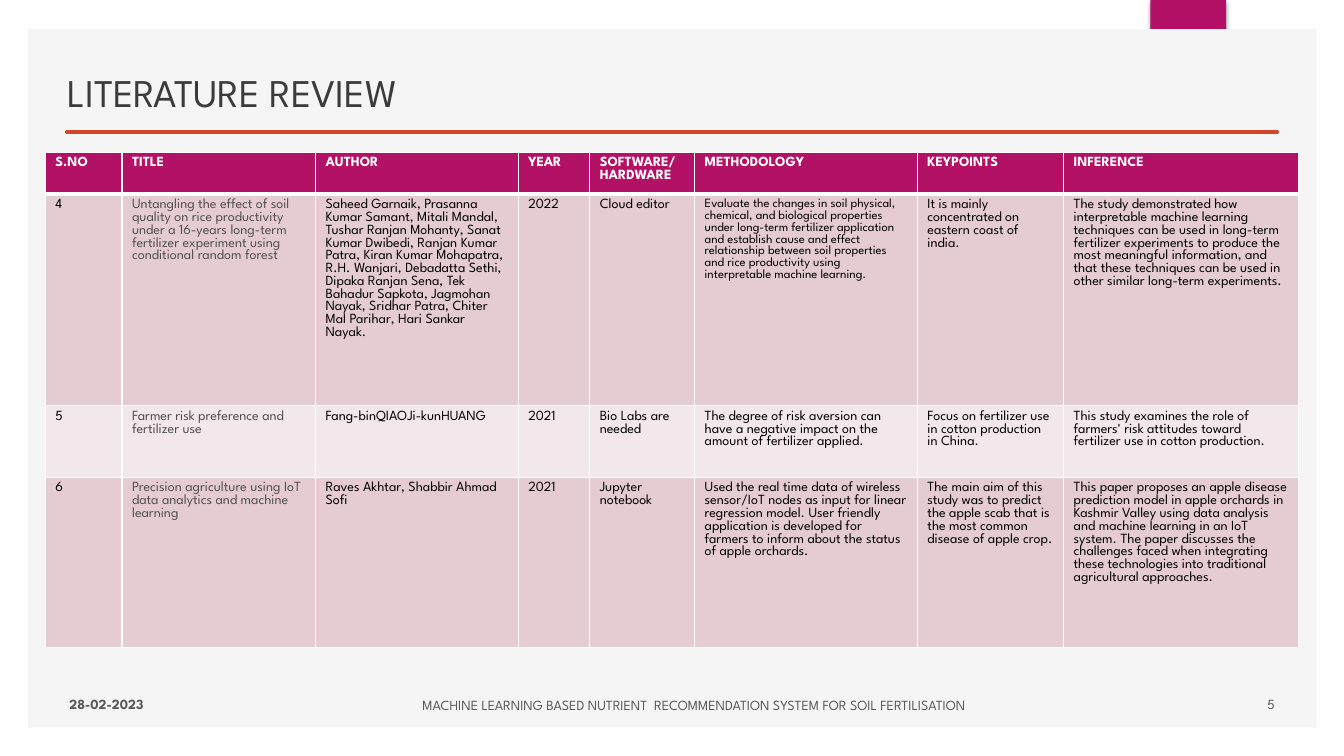
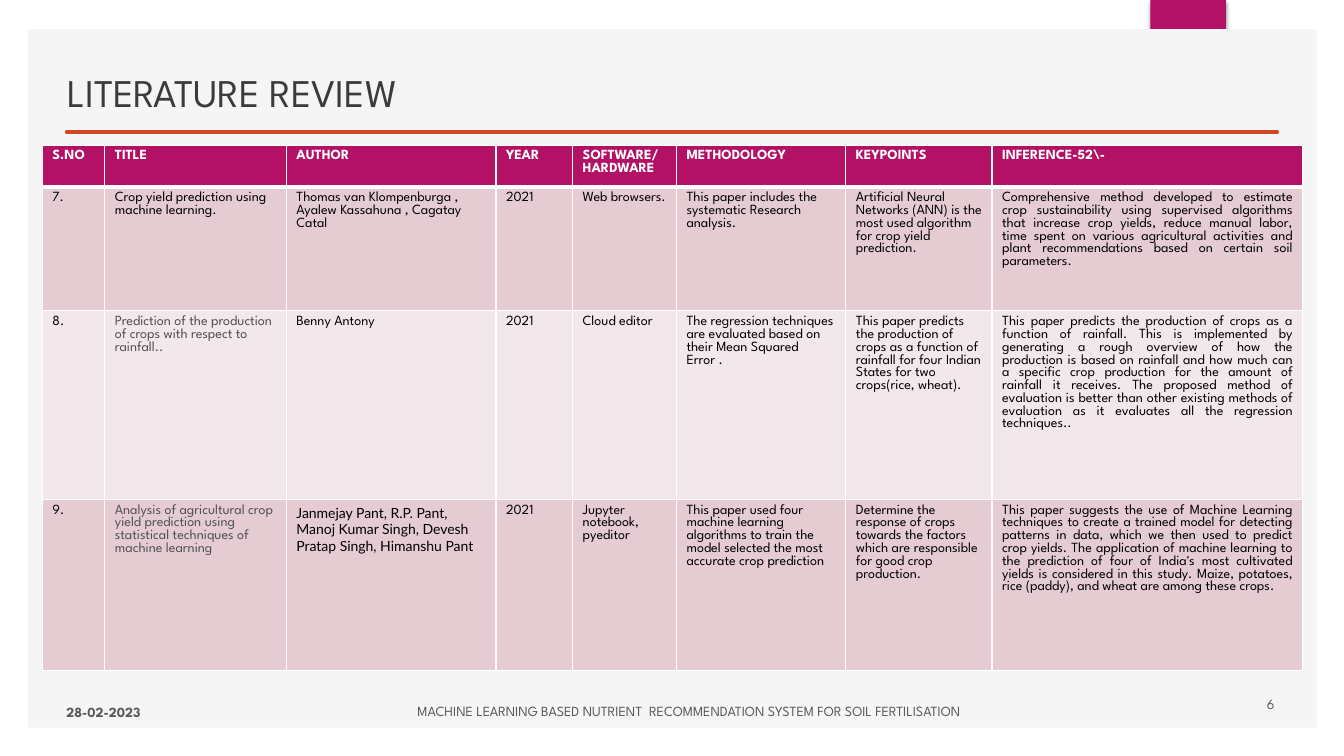
from lxml import etree
from pptx import Presentation
from pptx import util as u
from pptx.dml.color import RGBColor
from pptx.enum import shapes, text
from pptx.oxml import ns, parse_xml

COLORS = {
    "panel": "F5F5F5",
    "accent": "B31166",
    "rule": "D24726",
    "title": "3B3B3B",
    "footer": "595959",
    "paper": "505050",
    "body": "000000",
    "white": "FFFFFF",
    "dark_row": "E5CCD3",
    "light_row": "F2E7EA",
}
FONT = "League Spartan"
DATE = "28-02-2023"
PROJECT = "MACHINE LEARNING BASED NUTRIENT  RECOMMENDATION SYSTEM FOR SOIL FERTILISATION"
HEADINGS = ["S.NO", "TITLE", "AUTHOR", "YEAR", "SOFTWARE/HARDWARE", "METHODOLOGY", "KEYPOINTS"]

REVIEWS = [
    {
        "number": "5",
        "date_at": (0.59, 6.78, 3.58, 0.4),
        "project_at": (3.67, 6.79, 6.42, 0.4),
        "table_at": (0.45, 1.51),
        "columns": [0.76, 1.92, 2.01, 0.71, 1.04, 2.21, 1.45, 2.33],
        "heights": [0.38, 2.1, 0.71, 1.69],
        "last_heading": "INFERENCE",
        "formats": {(1, 5): {"size": 9}},
        "inference_align": text.PP_ALIGN.LEFT,
        "papers": [
            ["4",
             "Untangling the effect of soil quality on rice productivity under a 16-years long-term "
             "fertilizer experiment using conditional random forest",
             "Saheed Garnaik, Prasanna Kumar Samant, Mitali Mandal, Tushar Ranjan Mohanty, "
             "Sanat Kumar Dwibedi, Ranjan Kumar Patra, Kiran Kumar Mohapatra, R.H. Wanjari, "
             "Debadatta Sethi, Dipaka Ranjan Sena, Tek Bahadur Sapkota, Jagmohan Nayak, "
             "Sridhar Patra, Chiter Mal Parihar, Hari Sankar Nayak.",
             "2022",
             "Cloud editor",
             "Evaluate the changes in soil physical, chemical, and biological properties under "
             "long-term fertilizer application and establish cause and effect relationship between "
             "soil properties and rice productivity using interpretable machine learning.",
             "It is mainly concentrated on eastern coast of india.",
             "The study demonstrated how interpretable machine learning techniques can be used in "
             "long-term fertilizer experiments to produce the most meaningful information, and that "
             "these techniques can be used in other similar long-term experiments."],
            ["5",
             "Farmer risk preference and fertilizer use",
             "Fang-binQIAOJi-kunHUANG",
             "2021",
             "Bio Labs are needed",
             "The degree of risk aversion can have a negative impact on the amount of fertilizer applied.",
             "Focus on fertilizer use in cotton production in China.",
             "This study examines the role of farmers' risk attitudes toward fertilizer use in "
             "cotton production."],
            ["6",
             "Precision agriculture using IoT data analytics and machine learning",
             "Raves Akhtar, Shabbir Ahmad Sofi",
             "2021",
             "Jupyter notebook",
             "Used the real time data of wireless sensor/IoT nodes as input for linear regression "
             "model. User friendly application is developed for farmers to inform about the status "
             "of apple orchards.",
             "The main aim of this study was to predict the apple scab that is the most common "
             "disease of apple crop.",
             "This paper proposes an apple disease prediction model in apple orchards in Kashmir "
             "Valley using data analysis and machine learning in an IoT system. The paper discusses "
             "the challenges faced when integrating these technologies into traditional "
             "agricultural approaches."],
        ],
    },
    {
        "number": "6",
        "date_at": (0.56, 6.86, 3.58, 0.4),
        "project_at": (3.55, 6.85, 6.56, 0.4),
        "table_at": (0.42, 1.44),
        "columns": [0.62, 1.8, 2.08, 0.76, 1.03, 1.68, 1.45, 3.08],
        "heights": [0.38, 1.23, 1.87, 1.7],
        "last_heading": "INFERENCE-52\\-",
        "formats": {(1, 1): {"color": "body"}, (3, 2): {"font": "Lato"}},
        "inference_align": text.PP_ALIGN.JUSTIFY,
        "papers": [
            ["7.",
             "Crop yield prediction using machine learning.",
             "Thomas van Klompenburga , Ayalew Kassahuna , Cagatay Catal",
             "2021",
             "Web browsers.",
             "This paper includes the systematic Research analysis.",
             "Artificial Neural Networks (ANN) is the most used algorithm for crop yield prediction.",
             "Comprehensive method developed to estimate crop sustainability using supervised "
             "algorithms that increase crop yields, reduce manual labor, time spent on various "
             "agricultural activities and plant recommendations based on certain soil parameters."],
            ["8.",
             "Prediction of the production of crops with respect to rainfall..",
             "Benny Antony",
             "2021",
             "Cloud editor",
             "The regression techniques are evaluated based on their Mean Squared Error .",
             "This paper predicts the production of crops as a function of rainfall for four Indian "
             "States for two crops(rice, wheat).",
             "This paper predicts the production of crops as a function of rainfall. This is "
             "implemented by generating a rough overview of how the production is based on rainfall "
             "and how much can a specific crop production for the amount of rainfall it receives. "
             "The proposed method of evaluation is better than other existing methods of evaluation "
             "as it evaluates all the regression techniques.."],
            ["9.",
             "Analysis of agricultural crop yield prediction using statistical techniques of "
             "machine learning",
             "Janmejay Pant, R.P. Pant, Manoj Kumar Singh, Devesh Pratap Singh, Himanshu Pant",
             "2021",
             "Jupyter notebook,\npyeditor",
             "This paper used four machine learning algorithms to train the model selected the most "
             "accurate crop prediction",
             "Determine the response of crops towards the factors which are responsible for good "
             "crop production.",
             "This paper suggests the use of Machine Learning techniques to create a trained model "
             "for detecting patterns in data, which we then used to predict crop yields. The "
             "application of machine learning to the prediction of four of India's most cultivated "
             "yields is considered in this study. Maize, potatoes, rice (paddy), and wheat are "
             "among these crops."],
        ],
    },
]


def rgb(name):
    return RGBColor.from_string(COLORS[name])


def inches(values):
    return [u.Inches(value) for value in values]


def write(frame, content, *, size=10, color="body", bold=False, font=FONT,
          align=text.PP_ALIGN.LEFT, anchor=None):
    frame.word_wrap = True
    if anchor is not None:
        frame.vertical_anchor = anchor
    frame.text = content
    for paragraph in frame.paragraphs:
        paragraph.alignment = align
        for run in paragraph.runs:
            run.font.name = font
            run.font.size = u.Pt(size)
            run.font.bold = bold
            run.font.color.rgb = rgb(color)


def add_block(slide, place, color):
    block = slide.shapes.add_shape(shapes.MSO_SHAPE.RECTANGLE, *inches(place))
    block.shadow.inherit = False
    block.fill.solid()
    block.fill.fore_color.rgb = rgb(color)
    block.line.fill.background()
    return block


def add_tab_shadow(tab):
    effects = tab.element.spPr.find(ns.qn("a:effectLst"))
    effects.append(parse_xml(
        f'<a:outerShdw {ns.nsdecls("a")} blurRad="{u.Pt(3)}" dist="{u.Pt(2)}" dir="5400000">'
        f'<a:srgbClr val="{COLORS["body"]}"><a:alpha val="45000"/></a:srgbClr></a:outerShdw>'))


def add_rule(slide):
    rule = slide.shapes.add_connector(
        shapes.MSO_CONNECTOR.STRAIGHT, *inches((0.66, 1.31, 12.67, 1.31)))
    rule.line.color.rgb = rgb("rule")
    rule.line.width = u.Pt(2.25)
    rule.element.spPr.find(ns.qn("a:ln")).set("cap", "rnd")
    etree.SubElement(rule.element.spPr, ns.qn("a:effectLst"))
    return rule


def move_frame_to_layout(slide):
    tab = add_block(slide, (11.41, 0, 0.75, 1.25), "accent")
    add_tab_shadow(tab)
    panel = add_block(slide, (0.28, 0.29, 12.78, 6.93), "panel")
    rule = add_rule(slide)
    for index, part in enumerate((tab, panel, rule)):
        part.element.xpath(".//p:cNvPr")[0].set("id", str(101 + index))
        slide.slide_layout.shapes.element.insert(2 + index, part.element)


def add_title(slide, content):
    title = slide.shapes.title
    title.left, title.top, title.width, title.height = inches((0.57, 0.49, 7.52, 0.7))
    title.text_frame.auto_size = text.MSO_AUTO_SIZE.NONE
    write(title.text_frame, content, size=28, color="title", anchor=text.MSO_ANCHOR.BOTTOM)


def add_footer(slide, place, content, **fmt):
    box = slide.shapes.add_textbox(*inches(place))
    write(box.text_frame, content, color="footer", anchor=text.MSO_ANCHOR.MIDDLE, **fmt)


def set_borders(cell, top, bottom):
    properties = cell._tc.get_or_add_tcPr()
    for index, (side, width) in enumerate((("L", 1), ("R", 1), ("T", top), ("B", bottom))):
        properties.insert(index, parse_xml(
            f'<a:ln{side} {ns.nsdecls("a")} w="{u.Pt(width)}"><a:solidFill>'
            f'<a:srgbClr val="{COLORS["white"]}"/></a:solidFill></a:ln{side}>'))


def cell_format(review, row, column):
    if row == 0:
        return {"color": "white", "bold": True}
    fmt = {}
    if column == 1:
        fmt["color"] = "paper"
    if column == len(HEADINGS):
        fmt["align"] = review["inference_align"]
    return fmt | review["formats"].get((row, column), {})


def add_review_table(slide, review):
    rows = [HEADINGS + [review["last_heading"]]] + review["papers"]
    widths, heights = inches(review["columns"]), inches(review["heights"])
    table = slide.shapes.add_table(
        len(rows), len(widths), *inches(review["table_at"]), sum(widths), sum(heights)).table
    for column, width in zip(table.columns, widths):
        column.width = width
    for row, height in zip(table.rows, heights):
        row.height = height
    for r, entries in enumerate(rows):
        fill = "accent" if r == 0 else ("light_row", "dark_row")[r % 2]
        for c, entry in enumerate(entries):
            cell = table.cell(r, c)
            cell.margin_bottom = u.Inches(0.03 if r == 0 else 0.05)
            cell.fill.solid()
            cell.fill.fore_color.rgb = rgb(fill)
            set_borders(cell, top=3 if r == 1 else 1, bottom=3 if r == 0 else 1)
            write(cell.text_frame, entry, **cell_format(review, r, c))


def add_review_slide(slide, review):
    add_title(slide, "LITERATURE REVIEW")
    add_footer(slide, review["date_at"], DATE, bold=True)
    add_footer(slide, (9.16, 6.78, 3.58, 0.4), review["number"], align=text.PP_ALIGN.RIGHT)
    add_review_table(slide, review)
    add_footer(slide, review["project_at"], PROJECT, align=text.PP_ALIGN.CENTER)


def main():
    deck = Presentation()
    deck.slide_width, deck.slide_height = inches((13.33, 7.5))
    layout = deck.slide_layouts.get_by_name("Title Only")
    slides = [deck.slides.add_slide(layout) for _ in REVIEWS]
    move_frame_to_layout(slides[0])
    for slide, review in zip(slides, REVIEWS):
        add_review_slide(slide, review)
    deck.save("out.pptx")


if __name__ == "__main__":
    main()
